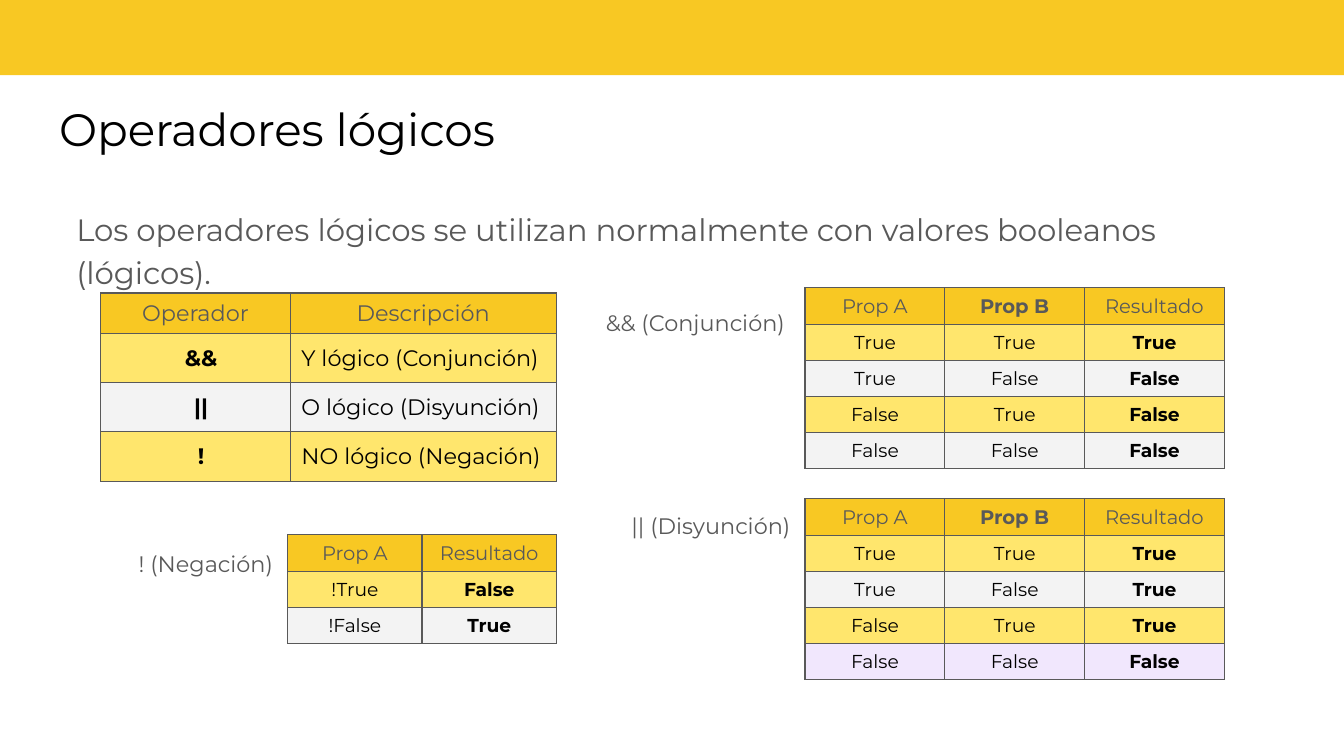
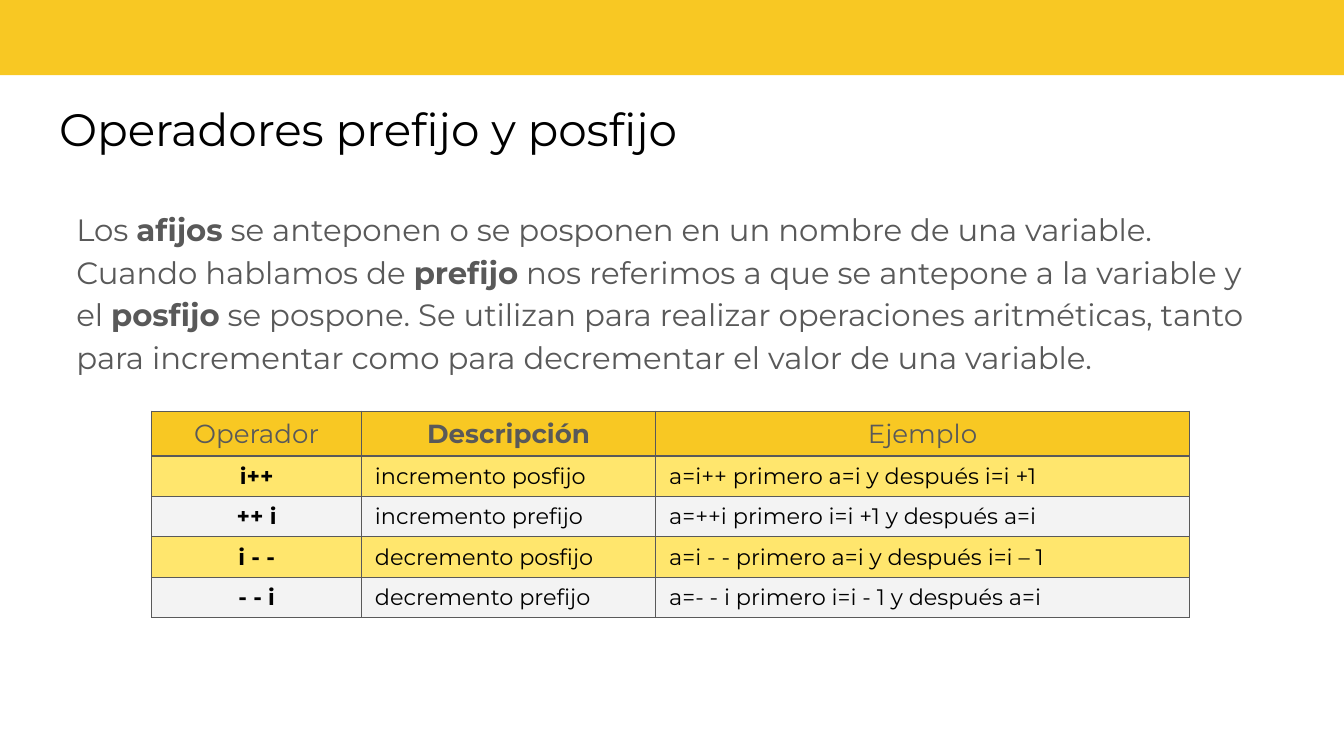
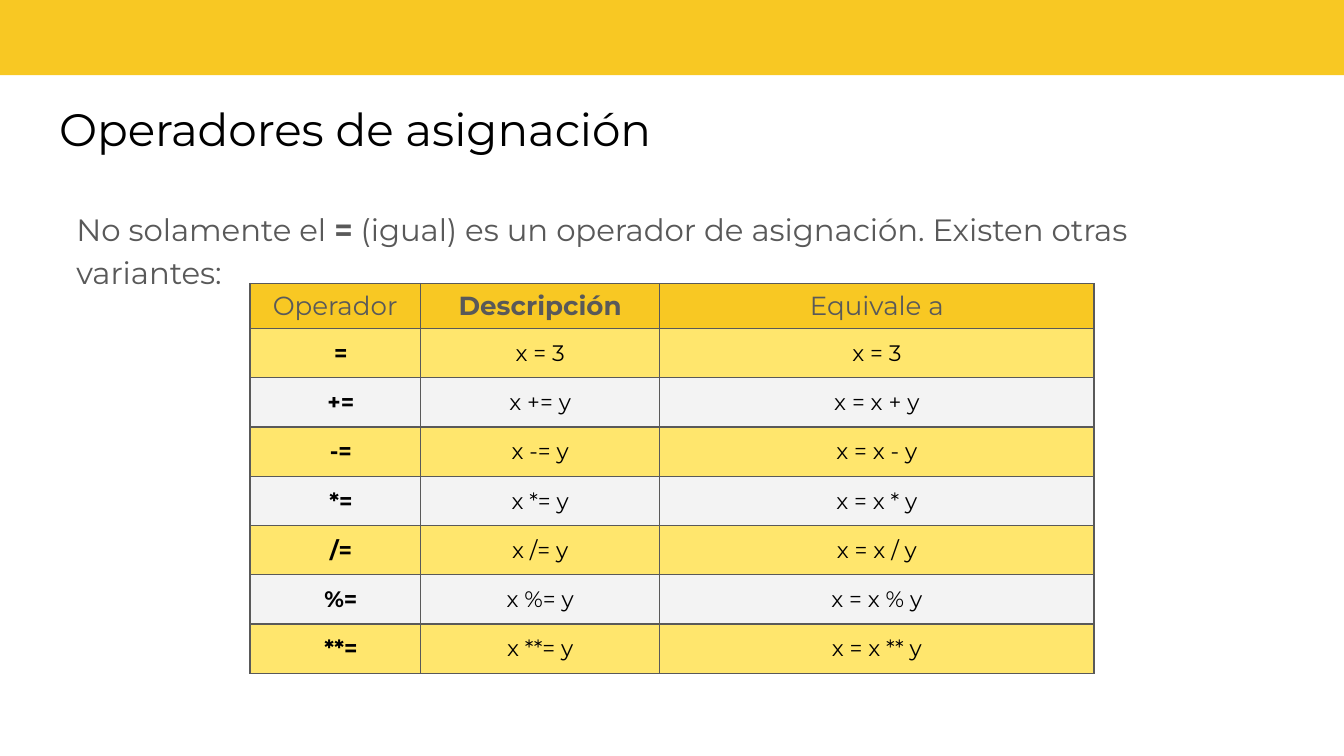
from dataclasses import dataclass

from lxml.etree import SubElement
from pptx import Presentation
from pptx.dml.color import RGBColor
from pptx.enum.shapes import MSO_SHAPE
from pptx.enum.text import MSO_ANCHOR, PP_ALIGN
from pptx.oxml.ns import qn
from pptx.util import Emu, Pt

PX = 9144  # EMU: 100 px to the inch
WIDE = 1000

FONT = "Montserrat"
GOLD, YELLOW, PALE, LILAC = "F8C823", "FFE66D", "F3F3F3", "F1E7FD"
GRAY, BLACK = "595959", "000000"
LEFT, MID, RIGHT = PP_ALIGN.LEFT, PP_ALIGN.CENTER, PP_ALIGN.RIGHT
TIGHT = (10, 5, 10, 5)


@dataclass(frozen=True)
class Box:
    x: int
    y: int
    w: int
    h: int

    def emu(self) -> tuple:
        return tuple(px(n) for n in (self.x, self.y, self.w, self.h))


@dataclass(frozen=True)
class Label:
    text: str
    box: Box


@dataclass(frozen=True)
class Grid:
    x: int
    y: int
    cols: tuple
    head_h: int
    row_h: int
    rows: tuple
    head_pt: float
    body_pt: float
    key: int = 0  # column set in bold
    left: tuple = ()  # columns aligned left
    roomy: bool = False
    last: str = ""  # fill of the last row, if it breaks the stripes


@dataclass(frozen=True)
class Page:
    title: str
    body: tuple  # plain and bold runs in turn
    grids: tuple
    labels: tuple = ()


BAND = Box(-1, -5, 1003, 61)
TITLE = Box(34, 65, 930, 63)
BODY = Box(47, 143, 906, 363)


def truth(x: int, y: int, row_h: int, col: int, rows: tuple, last: str = "") -> Grid:
    n = len(rows[0])
    return Grid(x, y, (col,) * n, 27, row_h, rows, 10.5, 10, key=n - 1, last=last)


PROPS = ("Prop A", "Prop B", "Resultado")

PAGES = (
    Page(
        "Operadores lógicos",
        ("Los operadores lógicos se utilizan normalmente con valores booleanos (lógicos).",),
        (
            Grid(75, 218, (141, 198), 30, 35, (
                ("Operador", "Descripción"),
                ("&&", "Y lógico (Conjunción)"),
                ("||", "O lógico (Disyunción)"),
                ("!", "NO lógico (Negación)"),
            ), 12, 12, left=(1,), roomy=True),
            truth(599, 214, 24, 104, (
                PROPS,
                ("True", "True", "True"),
                ("True", "False", "False"),
                ("False", "True", "False"),
                ("False", "False", "False"),
            )),
            truth(599, 371, 26, 104, (
                PROPS,
                ("True", "True", "True"),
                ("True", "False", "True"),
                ("False", "True", "True"),
                ("False", "False", "False"),
            ), LILAC),
            truth(214, 398, 26, 100, (
                ("Prop A", "Resultado"),
                ("!True", "False"),
                ("!False", "True"),
            )),
        ),
        (
            Label("! (Negación)", Box(75, 399, 138, 37)),
            Label("&& (Conjunción)", Box(418, 220, 176, 37)),
            Label("|| (Disyunción)", Box(422, 371, 176, 37)),
        ),
    ),
    Page(
        "Operadores prefijo y posfijo",
        (
            "Los ", "afijos",
            " se anteponen o se posponen en un nombre de una variable. Cuando hablamos de ",
            "prefijo", " nos referimos a que se antepone a la variable y el ", "posfijo",
            " se pospone. Se utilizan para realizar operaciones aritméticas, tanto para "
            "incrementar como para decrementar el valor de una variable.",
        ),
        (
            Grid(113, 306, (156, 219, 397), 30, 30, (
                ("Operador", "Descripción", "Ejemplo"),
                ("i++", "incremento posfijo", "a=i++ primero a=i y después i=i +1"),
                ("++ i", "incremento prefijo", "a=++i primero i=i +1 y después a=i"),
                ("i - -", "decremento posfijo", "a=i - - primero a=i y después i=i – 1"),
                ("- - i", "decremento prefijo", "a=- - i primero i=i - 1 y después a=i"),
            ), 14, 12, left=(1, 2)),
        ),
    ),
    Page(
        "Operadores de asignación",
        ("No solamente el ", "=",
         " (igual) es un operador de asignación. Existen otras variantes:"),
        (
            Grid(186, 211, (127, 178, 323), 30, 30, (
                ("Operador", "Descripción", "Equivale a"),
                ("=", "x = 3", "x = 3"),
                *((f"{op}=", f"x {op}= y", f"x = x {op} y")
                  for op in ("+", "-", "*", "/", "%", "**")),
            ), 14, 12, roomy=True),
        ),
    ),
)


def px(n: int) -> Emu:
    return Emu(n * PX)


def rgb(tone: str) -> RGBColor:
    return RGBColor.from_string(tone)


def add_run(para, text: str, size: float, tone: str, bold: bool = False) -> None:
    run = para.add_run()
    run.text = text
    font = run.font
    font.name, font.size, font.bold = FONT, Pt(size), bold
    font.color.rgb = rgb(tone)


def pad(item, sides: tuple) -> None:
    """Set the insets of a cell or text frame: left, top, right, bottom."""
    item.margin_left, item.margin_top, item.margin_right, item.margin_bottom = sides


def set_frame(frame) -> None:
    frame.word_wrap = True
    frame.vertical_anchor = MSO_ANCHOR.TOP
    pad(frame, (px(10),) * 4)


def add_text(slide, box: Box):
    """Add a text box and return its first paragraph."""
    frame = slide.shapes.add_textbox(*box.emu()).text_frame
    set_frame(frame)
    return frame.paragraphs[0]


def add_edges(cell) -> None:
    props = cell.fill and cell._tc.get_or_add_tcPr()
    for i, side in enumerate(("lnL", "lnR", "lnT", "lnB")):
        line = SubElement(props, qn(f"a:{side}"), w=str(Pt(0.75)))
        fill = SubElement(line, qn("a:solidFill"))
        SubElement(fill, qn("a:srgbClr"), val=GRAY)
        props.insert(i, line)


def add_grid(slide, grid: Grid) -> None:
    count = len(grid.rows)
    box = Box(grid.x, grid.y, sum(grid.cols), grid.head_h + grid.row_h * (count - 1))
    table = slide.shapes.add_table(count, len(grid.cols), *box.emu()).table
    table.first_row = table.horz_banding = False
    for col, w in zip(table.columns, grid.cols):
        col.width = px(w)
    for r, row in enumerate(grid.rows):
        head = r == 0
        table.rows[r].height = px(grid.head_h if head else grid.row_h)
        tone = GOLD if head else YELLOW if r % 2 else PALE
        if grid.last and r == count - 1:
            tone = grid.last
        for c, text in enumerate(row):
            cell = table.cell(r, c)
            cell.fill.solid()
            cell.fill.fore_color.rgb = rgb(tone)
            add_edges(cell)
            if grid.roomy and not head:
                pad(cell, (Pt(6 if c else 12), Pt(6), Pt(6), Pt(6)))
            else:
                pad(cell, tuple(px(n) for n in TIGHT))
            para = cell.text_frame.paragraphs[0]
            para.alignment = LEFT if c in grid.left and not head else MID
            if head:
                add_run(para, text, grid.head_pt, GRAY, 0 < c < len(row) - 1)
            else:
                add_run(para, text, grid.body_pt, BLACK, c == grid.key)


def add_page(deck, layout, page: Page):
    slide = deck.slides.add_slide(layout)
    title = slide.shapes.title
    title.left, title.top, title.width, title.height = TITLE.emu()
    set_frame(title.text_frame)
    para = title.text_frame.paragraphs[0]
    para.alignment = LEFT
    add_run(para, page.title, 24.3, BLACK)

    para = add_text(slide, BODY)
    para.line_spacing = 1.15
    for i, text in enumerate(page.body):
        add_run(para, text, 16.5, GRAY, i % 2 == 1)
    for grid in page.grids:
        add_grid(slide, grid)
    for label in page.labels:
        para = add_text(slide, label.box)
        para.alignment = RIGHT
        add_run(para, label.text, 12, GRAY)
    return slide


def add_band(slide, layout) -> None:
    """Draw the top band and move it to the layout, so that all slides share it."""
    band = slide.shapes.add_shape(MSO_SHAPE.RECTANGLE, *BAND.emu())
    band.shadow.inherit = False
    band.fill.solid()
    band.fill.fore_color.rgb = rgb(GOLD)
    band.line.fill.background()
    layout.shapes.element.insert(2, band.element)


def main() -> None:
    deck = Presentation()
    deck.slide_width = px(WIDE)
    deck.slide_height = Emu(px(WIDE) * 9 // 16)
    layout = deck.slide_layouts[5]
    for item in list(layout.placeholders):
        if item.placeholder_format.idx:
            layout.shapes.element.remove(item.element)
    slides = [add_page(deck, layout, page) for page in PAGES]
    add_band(slides[0], layout)
    deck.save("out.pptx")


if __name__ == "__main__":
    main()
